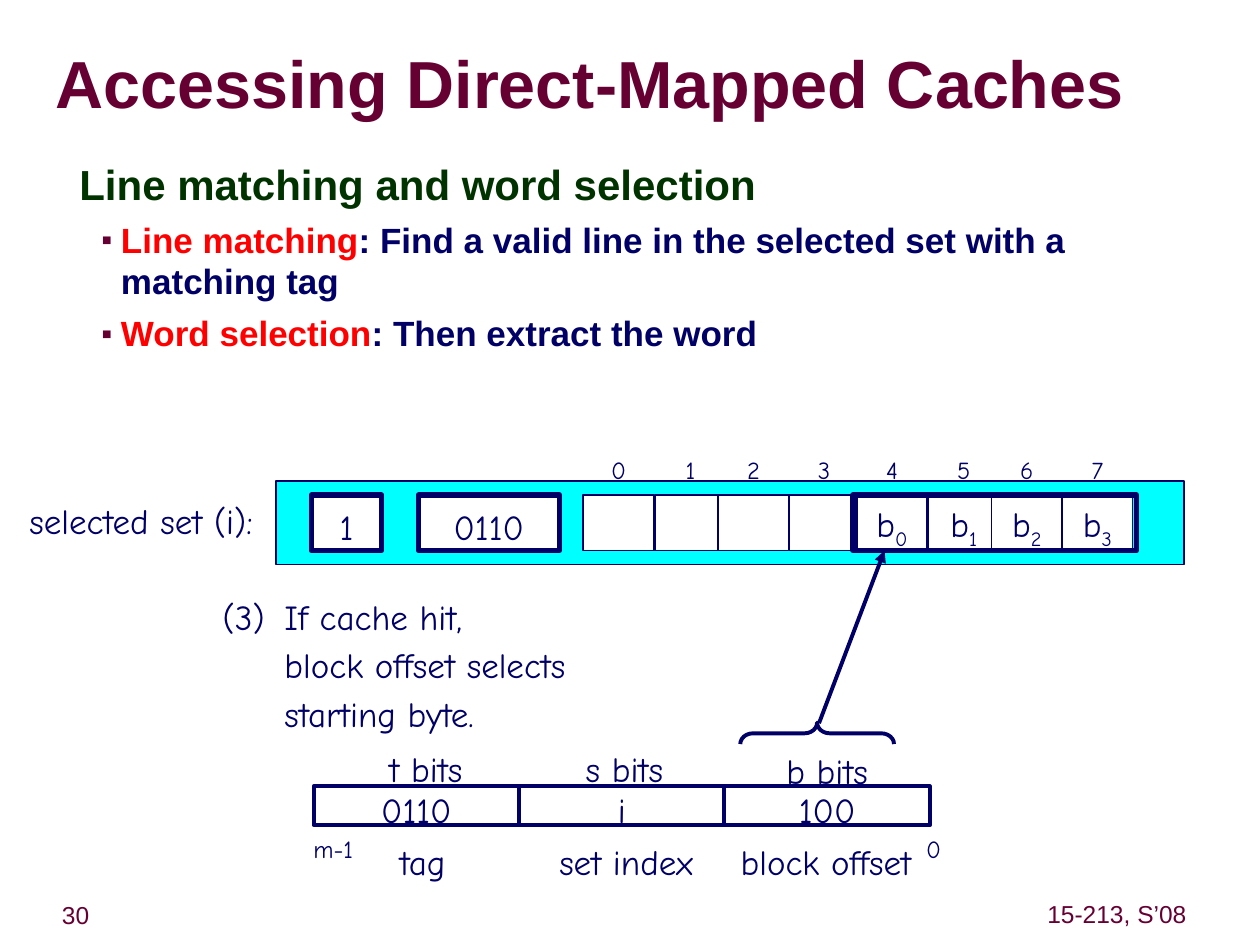
from lxml import etree
from pptx import Presentation
from pptx.dml.color import RGBColor
from pptx.enum.shapes import MSO_CONNECTOR, MSO_SHAPE
from pptx.enum.text import MSO_ANCHOR, MSO_AUTO_SIZE, PP_ALIGN
from pptx.oxml.ns import qn
from pptx.util import Inches, Pt

RECTANGLE = MSO_SHAPE.RECTANGLE
BRACE = MSO_SHAPE.RIGHT_BRACE
STRAIGHT = MSO_CONNECTOR.STRAIGHT
MIDDLE, TOP = MSO_ANCHOR.MIDDLE, MSO_ANCHOR.TOP
CENTER, LEFT = PP_ALIGN.CENTER, PP_ALIGN.LEFT
NO_AUTOFIT = MSO_AUTO_SIZE.NONE

COLORS = {
    "navy": "000066",
    "maroon": "660033",
    "green": "003300",
    "red": "FF0000",
    "cyan": "00FFFF",
    "white": "FFFFFF",
}
HEADING_FONT = "Arial"
DIAGRAM_FONT = "Comic Neue"

ROW_TOP, ROW_HEIGHT = 3.93, 0.44
BYTE_WIDTH = 0.56
BYTE_STARTS = (4.63, 6.8)
BYTE_OFFSETS = (0, 0.57, 1.07, 1.63)
FIELD_LEFT, FIELD_WIDTH = 2.49, 1.63
ADDRESS_FIELDS = [
    ("0110", ("t bits", 2.99, 5.83, 0.78), ("tag", 3.07, 0.57)),
    ("i", ("s bits", 4.55, 5.83, 0.81), ("set index", 4.34, 1.26)),
    ("100", ("b bits", 6.14, 5.85, 0.85), ("block offset", 5.78, 1.55)),
]
BODY_ITEMS = [
    ("Line matching", ": Find a valid line in the selected set with a matching tag"),
    ("Word selection", ": Then extract the word"),
]


def color(name):
    return RGBColor.from_string(COLORS[name])


def place(item, left, top, width, height):
    item.left, item.top = Inches(left), Inches(top)
    item.width, item.height = Inches(width), Inches(height)


def style_paragraph(para, size, tint, font=DIAGRAM_FONT, bold=False, spacing=1.16, align=CENTER):
    para.alignment = align
    para.line_spacing = spacing
    para.font.name = font
    para.font.size = Pt(size)
    para.font.bold = bold
    para.font.color.rgb = color(tint)


def set_indent(para, margin, first_line):
    properties = para._p.get_or_add_pPr()
    properties.set("marL", str(Inches(margin)))
    properties.set("indent", str(Inches(first_line)))


def set_bullet(para, symbol=None):
    properties = para._p.get_or_add_pPr()
    if symbol is None:
        parts = [etree.Element(qn("a:buNone"))]
    else:
        tint = etree.Element(qn("a:buClr"))
        etree.SubElement(tint, qn("a:srgbClr"), val=COLORS["maroon"])
        parts = [
            tint,
            etree.Element(qn("a:buSzPct"), val="45000"),
            etree.Element(qn("a:buFont"), typeface=HEADING_FONT),
            etree.Element(qn("a:buChar"), char=symbol),
        ]
    defaults = properties.find(qn("a:defRPr"))
    for part in parts:
        defaults.addprevious(part)


def write_cell(frame, text, size=20, subscript="", **style):
    frame.word_wrap = False
    frame.vertical_anchor = MIDDLE
    frame.margin_left = frame.margin_right = 0
    para = frame.paragraphs[0]
    para.add_run().text = text
    if subscript:
        span = para.add_run()
        span.text = subscript
        span._r.get_or_add_rPr().set("baseline", "-25000")
    style_paragraph(para, size, **{"tint": "navy", **style})


def add_label(page, text, left, top, width, height, size=20, **style):
    box = page.shapes.add_textbox(*map(Inches, (left, top, width, height)))
    write_cell(box.text_frame, text, size, **style)
    return box


def add_box(page, left, top, width, height, line_width, fill=None, text="", subscript=""):
    box = page.shapes.add_shape(RECTANGLE, *map(Inches, (left, top, width, height)))
    box.shadow.inherit = False
    if fill:
        box.fill.solid()
        box.fill.fore_color.rgb = color(fill)
    else:
        box.fill.background()
    box.line.color.rgb = color("navy")
    box.line.width = Pt(line_width)
    if text:
        write_cell(box.text_frame, text, subscript=subscript)


def fill_title(title):
    place(title, 0.44, 0.27, 9.53, 0.86)
    frame = title.text_frame
    frame.text = "Accessing Direct-Mapped Caches"
    frame.auto_size = NO_AUTOFIT
    frame.vertical_anchor = MIDDLE
    frame.margin_left = frame.margin_right = frame.margin_top = frame.margin_bottom = 0
    style_paragraph(frame.paragraphs[0], 38, "maroon", HEADING_FONT, True, 0.85, LEFT)


def fill_body(body):
    place(body, 0.32, 1.24, 9.09, 1.84)
    frame = body.text_frame
    frame.auto_size = NO_AUTOFIT
    frame.vertical_anchor = TOP
    heading = frame.paragraphs[0]
    heading.add_run().text = "Line matching and word selection"
    style_paragraph(heading, 24, "green", HEADING_FONT, True, 0.93, LEFT)
    heading.space_before = Pt(15)
    set_indent(heading, 0.35, -0.14)
    set_bullet(heading)
    for term, explanation in BODY_ITEMS:
        para = frame.add_paragraph()
        para.level = 1
        style_paragraph(para, 20, "navy", HEADING_FONT, True, 0.98, LEFT)
        para.space_before = Pt(6.2)
        set_indent(para, 0.54, -0.15)
        set_bullet(para, "■")
        for text, tint in ((term, "red"), (explanation, "navy")):
            span = para.add_run()
            span.text = text
            span.font.color.rgb = color(tint)


def add_address(page):
    for index, (value, bits, name) in enumerate(ADDRESS_FIELDS):
        add_box(page, FIELD_LEFT + index * FIELD_WIDTH, 6.24, FIELD_WIDTH, 0.31, 2.25, text=value)
        add_label(page, *bits, 0.48)
        caption, left, width = name
        add_label(page, caption, left, 6.57, width, 0.48)
    add_label(page, "m-1", 2.39, 6.53, 0.51, 0.37, 14)
    add_label(page, "0", 7.25, 6.53, 0.32, 0.37, 14)


def add_cache_set(page):
    add_label(page, "selected set (i):", 0.13, 3.86, 1.98, 0.49)
    add_box(page, 2.19, 3.82, 7.21, 0.66, 1, "cyan")
    add_box(page, 2.47, ROW_TOP, BYTE_WIDTH, ROW_HEIGHT, 3, "white", "1")
    add_box(page, 3.32, ROW_TOP, 2 * BYTE_WIDTH, ROW_HEIGHT, 3, "white", "0110")
    lefts = [start + offset for start in BYTE_STARTS for offset in BYTE_OFFSETS]
    for index, left in enumerate(lefts):
        word_byte = index - len(BYTE_OFFSETS)
        text, subscript = ("b", str(word_byte)) if word_byte >= 0 else ("", "")
        add_box(page, left, ROW_TOP, BYTE_WIDTH, ROW_HEIGHT, 1, "white", text, subscript)
        add_label(page, str(index), left, ROW_TOP - ROW_HEIGHT, BYTE_WIDTH, ROW_HEIGHT, 14)
    add_box(page, 6.77, ROW_TOP, 2.25, ROW_HEIGHT, 3)


def add_note(page):
    note = add_label(page, "(3)\tIf cache hit,", 1.66, 4.62, 3.57, 1.26, align=LEFT)
    note.fill.solid()
    note.fill.fore_color.rgb = color("white")
    frame = note.text_frame
    frame.word_wrap = True
    frame.margin_left = frame.margin_right = Inches(0.1)
    para = frame.paragraphs[0]
    para.add_line_break()
    para.add_run().text = "block offset selects starting byte."
    set_indent(para, 0.5, -0.49)


def add_offset_pointer(page):
    brace = page.shapes.add_shape(BRACE, *map(Inches, (6.4, 5.21, 0.17, 1.22)))
    brace.rotation = 270
    brace.adjustments[0] = 0.59
    brace.shadow.inherit = False
    brace.fill.background()
    arrow = page.shapes.add_connector(STRAIGHT, *map(Inches, (6.5, 5.74, 7.02, 4.37)))
    for item in (brace, arrow):
        item.line.color.rgb = color("navy")
        item.line.width = Pt(2.25)
    etree.SubElement(arrow.line._get_or_add_ln(), qn("a:tailEnd"), type="triangle")
    etree.SubElement(arrow._element.spPr, qn("a:effectLst"))


def main():
    deck = Presentation()
    deck.slide_width, deck.slide_height = Inches(10), Inches(7.5)
    page = deck.slides.add_slide(deck.slide_layouts[1])
    fill_title(page.shapes.title)
    fill_body(page.placeholders[1])
    add_note(page)
    add_address(page)
    add_cache_set(page)
    add_offset_pointer(page)
    footer = {"size": 14, "tint": "maroon", "font": HEADING_FONT, "spacing": 0.88}
    add_label(page, "30", 0.08, 7.12, 1.04, 0.31, **footer)
    add_label(page, "15-213, S’08", 8.26, 7.11, 1.21, 0.31, **footer)
    deck.save("out.pptx")


if __name__ == "__main__":
    main()
